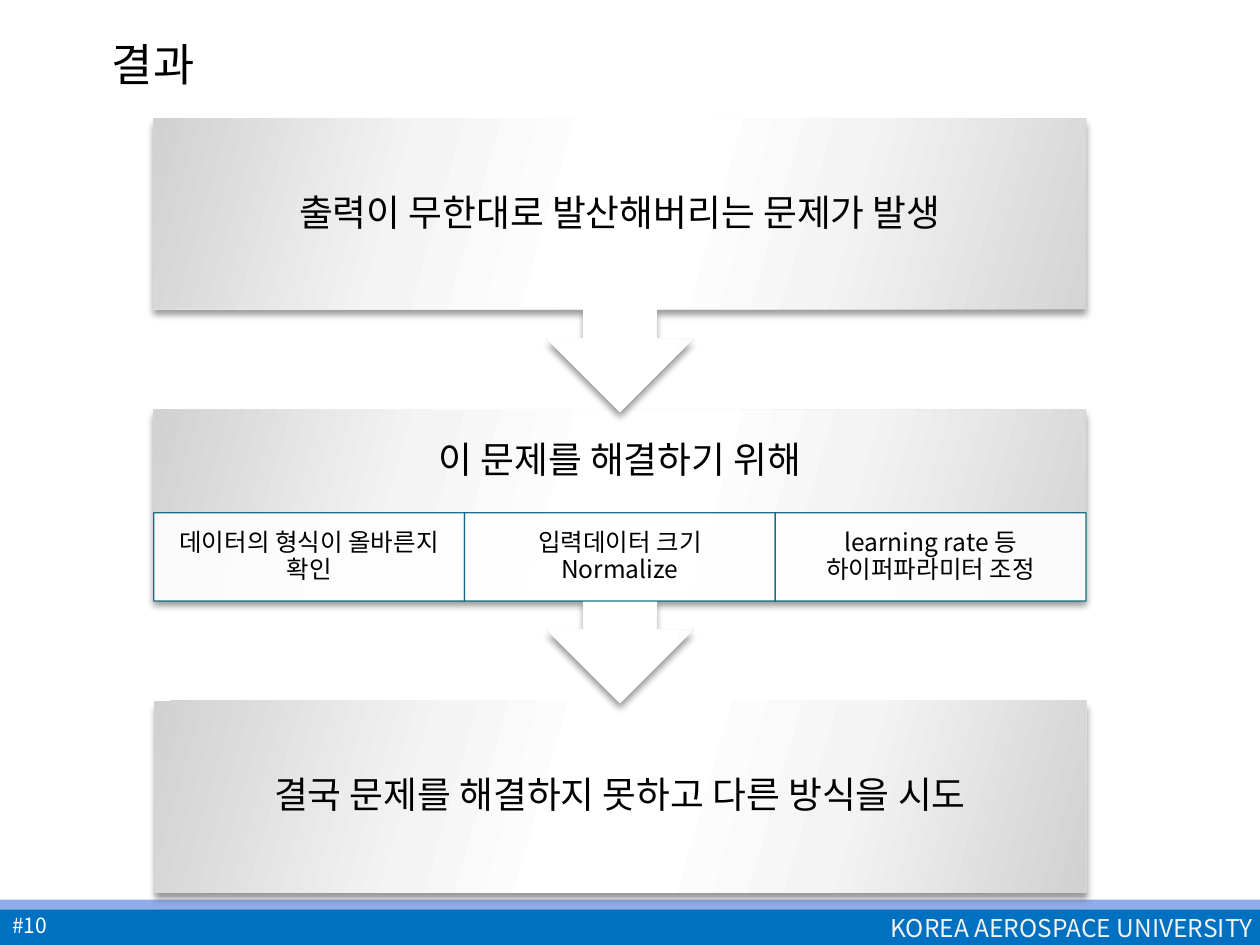
from lxml import etree
from pptx import Presentation
from pptx import util as u
from pptx.dml.color import RGBColor
from pptx.enum import shapes, text
from pptx.oxml.ns import qn

FONT = "Noto Sans CJK KR"
COLORS = {
    "black": "000000",
    "white": "FFFFFF",
    "footer": "0070C0",
    "stripe": "8FADE9",
    "university": "F2F2F2",
    "cell_line": "04617B",
}
PANEL_STOPS = [(0, "D1D1D1"), (30, "F4F4F4"), (45, "FFFFFF"),
               (55, "FFFFFF"), (73, "F4F4F4"), (100, "D1D1D1")]
PANEL_LEFT, PANEL_WIDTH, PANEL_HEIGHT = 1.22, 7.4, 1.52
CALLOUT_HEIGHT, STEP_TOP, STEP_PITCH = 2.33, 0.94, 2.31
HEADING_HEIGHT, CELL_HEIGHT = 0.82, 0.7
PANEL_INSETS = (0.16, 0.16)
CELL_INSETS = (0.11, 0.02)


def rgb(name):
    return RGBColor.from_string(COLORS[name])


def add_element(parent, tag, **attributes):
    element = etree.SubElement(parent, qn(tag))
    for key, value in attributes.items():
        element.set(key, str(value))
    return element


def add_alpha(color_element, percent):
    add_element(color_element, "a:alpha", val=percent * 1000)


def write_text(shape, content, size=14, color="black", align=text.PP_ALIGN.CENTER,
               insets=(0.1, 0.05), spacing=None, wrap=True, indent=0, small_caps=False):
    frame = shape.text_frame
    frame.word_wrap = wrap
    frame.vertical_anchor = text.MSO_ANCHOR.MIDDLE
    frame.margin_left = frame.margin_right = u.Inches(insets[0])
    frame.margin_top = frame.margin_bottom = u.Inches(insets[1])
    paragraph = frame.paragraphs[0]
    paragraph.alignment = align
    paragraph.line_spacing = spacing
    if indent:
        properties = paragraph._p.get_or_add_pPr()
        properties.set("marL", str(u.Inches(indent)))
        properties.set("indent", "0")
    run = paragraph.add_run()
    run.text = content
    run.font.size = u.Pt(size)
    run.font.name = FONT
    run.font.color.rgb = rgb(color)
    run_properties = run.font._element
    add_element(run_properties, "a:ea", typeface=FONT)
    if small_caps:
        run_properties.set("cap", "small")


def add_label(slide, box, content, **text_format):
    write_text(slide.shapes.add_textbox(*map(u.Inches, box)), content, **text_format)


def add_plain_shape(slide, kind, box, fill=None):
    shape = slide.shapes.add_shape(kind, *map(u.Inches, box))
    shape.shadow.inherit = False
    shape.line.fill.background()
    if fill:
        shape.fill.solid()
        shape.fill.fore_color.rgb = rgb(fill)
    return shape


def add_panel(slide, kind, top, height, rotation=0):
    panel = add_plain_shape(slide, kind, (PANEL_LEFT, top, PANEL_WIDTH, height))
    panel.rotation = rotation
    panel.fill.gradient()
    properties = panel._element.spPr
    stops = properties.find(".//" + qn("a:gsLst"))
    for stop in list(stops):
        stops.remove(stop)
    for position, color in PANEL_STOPS:
        stop = add_element(stops, "a:gs", pos=position * 1000)
        add_element(stop, "a:srgbClr", val=color)
    properties.find(".//" + qn("a:lin")).set("ang", str(16 * 60000))
    shadow = add_element(properties.find(qn("a:effectLst")), "a:outerShdw",
                         blurRad=u.Pt(4), dist=u.Pt(3.4), dir=90 * 60000,
                         algn="ctr", rotWithShape=0)
    add_alpha(add_element(shadow, "a:srgbClr", val=COLORS["black"]), 40)


def add_step(slide, top, content, text_height=PANEL_HEIGHT, arrow=True):
    if arrow:
        add_panel(slide, shapes.MSO_SHAPE.UP_ARROW_CALLOUT, top, CALLOUT_HEIGHT, 180)
    else:
        add_panel(slide, shapes.MSO_SHAPE.RECTANGLE, top, PANEL_HEIGHT)
    add_label(slide, (PANEL_LEFT, top, PANEL_WIDTH, text_height), content,
              size=21, insets=PANEL_INSETS, spacing=0.9)


def add_cells(slide, top, contents):
    width = PANEL_WIDTH / len(contents)
    for column, content in enumerate(contents):
        box = (PANEL_LEFT + column * width, top, width, CELL_HEIGHT)
        cell = add_plain_shape(slide, shapes.MSO_SHAPE.RECTANGLE, box, "white")
        cell.line.color.rgb = rgb("cell_line")
        cell.line.width = u.Pt(0.75)
        for color in cell._element.spPr.iter(qn("a:srgbClr")):
            add_alpha(color, 90)
        write_text(cell, content, insets=CELL_INSETS, spacing=0.9)


def add_footer(slide):
    rectangle = shapes.MSO_SHAPE.RECTANGLE
    add_plain_shape(slide, rectangle, (0, 7.21, 10, 0.29), "footer")
    add_plain_shape(slide, rectangle, (0, 7.14, 10, 0.08), "stripe")
    add_label(slide, (6.97, 7.19, 3.16, 0.34), "KOREA AEROSPACE UNIVERSITY",
              color="university", align=text.PP_ALIGN.LEFT, wrap=False)
    add_label(slide, (0, 7.21, 2.17, 0.29), "#10", size=12, color="white",
              align=text.PP_ALIGN.LEFT, spacing=0.9)


def main():
    presentation = Presentation()
    presentation.slide_width = u.Inches(10)
    presentation.slide_height = u.Inches(7.5)
    slide = presentation.slides.add_slide(presentation.slide_layouts[6])
    add_footer(slide)
    add_label(slide, (0.12, 0.09, 9.76, 0.75), "결과", size=32,
              align=text.PP_ALIGN.LEFT, indent=0.67, small_caps=True)
    first, second, third = (STEP_TOP + row * STEP_PITCH for row in range(3))
    add_step(slide, third, "결국 문제를 해결하지 못하고 다른 방식을 시도", arrow=False)
    add_step(slide, second, "이 문제를 해결하기 위해", text_height=HEADING_HEIGHT)
    add_cells(slide, second + HEADING_HEIGHT, [
        "데이터의 형식이 올바른지 확인",
        "입력데이터 크기 Normalize",
        "learning rate 등 하이퍼파라미터 조정",
    ])
    add_step(slide, first, "출력이 무한대로 발산해버리는 문제가 발생")
    presentation.save("out.pptx")


if __name__ == "__main__":
    main()
